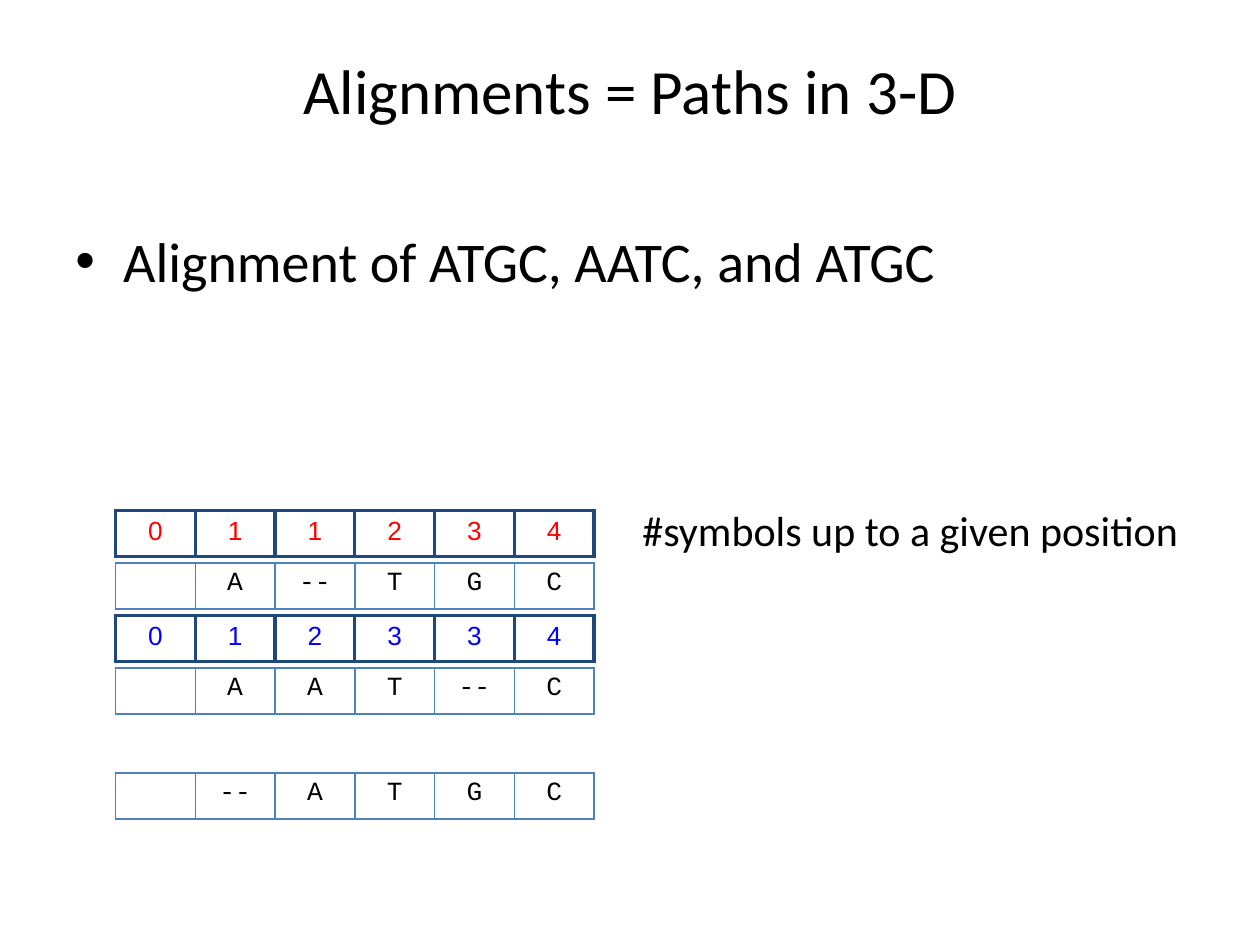
from lxml.etree import SubElement
from pptx import Presentation
from pptx.dml.color import RGBColor
from pptx.enum.text import MSO_ANCHOR, PP_ALIGN
from pptx.oxml.ns import qn
from pptx.util import Inches, Pt

COLORS = {"black": "000000", "red": "FF0000", "blue": "0000FF",
          "navy": "1F497D", "steel": "4F81BD"}
GRID_COLUMNS, GRID_ROWS = 120, 90


def write_text(frame, text, font="Calibri", size=24, color="black",
               align=PP_ALIGN.LEFT, anchor=MSO_ANCHOR.TOP):
    """Fill a text frame with one formatted paragraph and return it."""
    frame.word_wrap = True
    frame.vertical_anchor = anchor
    para = frame.paragraphs[0]
    para.alignment = align
    span = para.add_run()
    span.text = text
    span.font.name = font
    span.font.size = Pt(size)
    span.font.color.rgb = RGBColor.from_string(COLORS[color])
    return para


class SlideBuilder:
    def __init__(self, deck):
        self.column = deck.slide_width / GRID_COLUMNS
        self.row = deck.slide_height / GRID_ROWS
        self.slide = deck.slides.add_slide(deck.slide_layouts[5])

    def area(self, left, top, width, height):
        return (round(left * self.column), round(top * self.row),
                round(width * self.column), round(height * self.row))

    def title(self, text, *place):
        box = self.slide.shapes.title
        box.left, box.top, box.width, box.height = self.area(*place)
        write_text(box.text_frame, text, size=36,
                   align=PP_ALIGN.CENTER, anchor=MSO_ANCHOR.MIDDLE)

    def text(self, text, *place, bullet=False, **style):
        box = self.slide.shapes.add_textbox(*self.area(*place))
        para = write_text(box.text_frame, text, **style)
        if bullet:
            properties = para._p.get_or_add_pPr()
            indent = Inches(0.38)
            properties.set("marL", str(indent))
            properties.set("indent", str(-indent))
            SubElement(properties, qn("a:buFont")).set("typeface", "Arial")
            SubElement(properties, qn("a:buChar")).set("char", "•")

    def sequence(self, symbols, *place, border, line_width, **style):
        frame = self.slide.shapes.add_table(1, len(symbols), *self.area(*place))
        table = frame.table
        table.first_row = table.horz_banding = False
        for cell, symbol in zip(table.iter_cells(), symbols):
            cell.margin_bottom = 0
            write_text(cell.text_frame, symbol, size=15,
                       align=PP_ALIGN.CENTER, **style)
            self.borders(cell, border, line_width)
            cell.fill.background()

    def borders(self, cell, color, width):
        properties = cell._tc.get_or_add_tcPr()
        for side in ("lnL", "lnR", "lnT", "lnB"):
            line = SubElement(properties, qn(f"a:{side}"))
            line.set("w", str(Pt(width)))
            fill = SubElement(line, qn("a:solidFill"))
            SubElement(fill, qn("a:srgbClr")).set("val", COLORS[color])


def main():
    deck = Presentation()
    deck.slide_width, deck.slide_height = Inches(10), Inches(7.5)
    page = SlideBuilder(deck)

    # Title and statement
    page.title("Alignments = Paths in 3-D", 6, 1, 108, 15)
    page.text("Alignment of ATGC, AATC, and ATGC", 6, 21, 108, 59.4,
              bullet=True, size=32)

    # Position counts and aligned sequences, one per slot
    letters = {"font": "Courier New", "border": "steel", "line_width": 1}
    counts = {"font": "Arial", "border": "navy", "line_width": 2.25}
    slots = [
        (0, list("011234"), {**counts, "color": "red"}),
        (1, ["", "A", "--", "T", "G", "C"], letters),
        (2, list("012334"), {**counts, "color": "blue"}),
        (3, ["", "A", "A", "T", "--", "C"], letters),
        (5, ["", "--", "A", "T", "G", "C"], letters),
    ]
    for slot, symbols, style in slots:
        page.sequence(symbols, 11, 48.6 + 5 * slot, 45.6, 4.4, **style)

    # Explanation of the counts
    page.text("#symbols up to a given position", 60, 47.5, 56, 6)

    deck.save("out.pptx")


if __name__ == "__main__":
    main()
